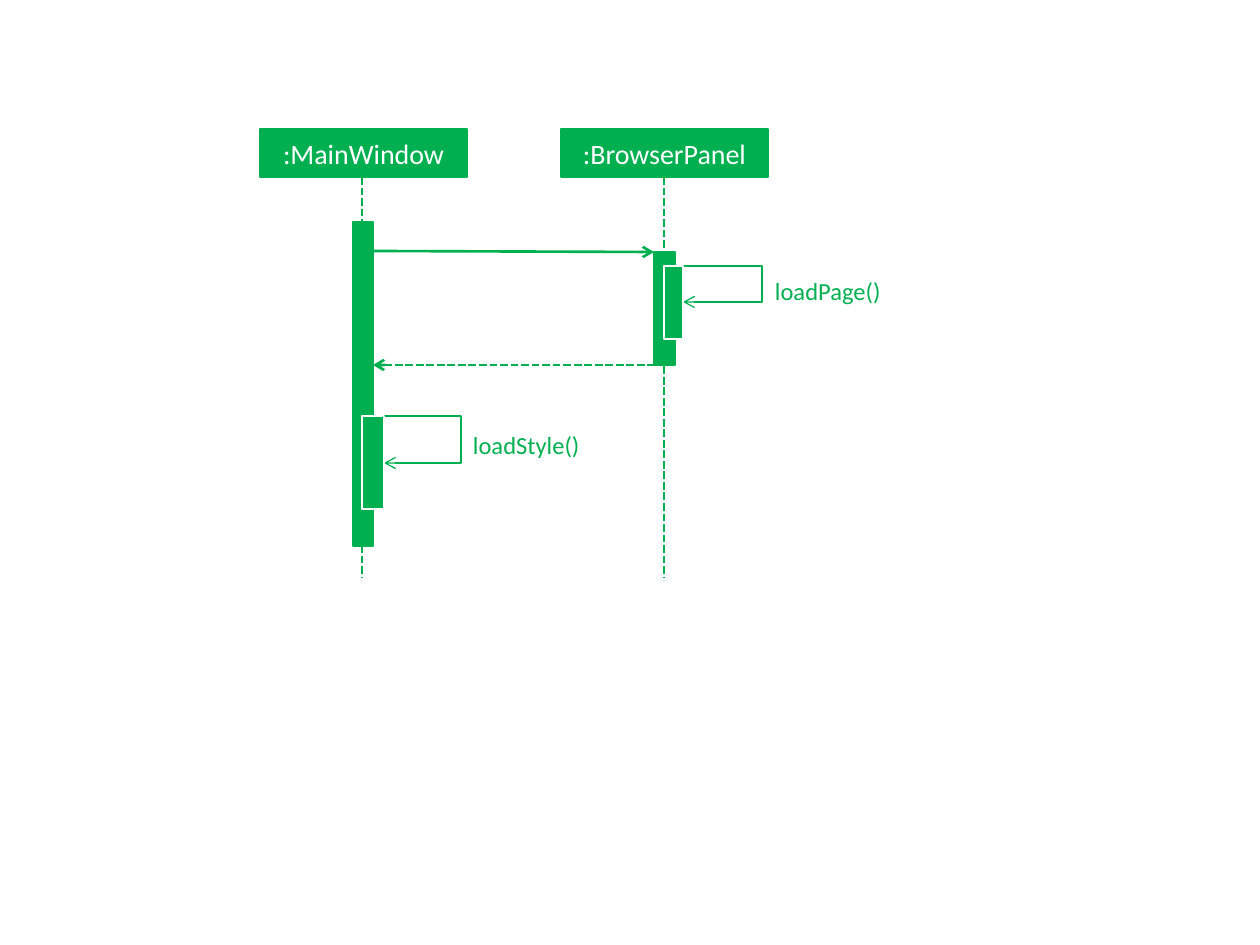
from lxml import etree
from pptx import Presentation
from pptx.dml.color import RGBColor
from pptx.enum.dml import MSO_LINE
from pptx.enum.shapes import MSO_CONNECTOR, MSO_SHAPE
from pptx.enum.text import MSO_ANCHOR, PP_ALIGN
from pptx.oxml.ns import qn
from pptx.util import Emu, Pt

SCALE = 914400 / 126
GREEN, WHITE = "00B050", "FFFFFF"


def px(*values):
    """Turn pixel lengths into EMU."""
    return [Emu(round(v * SCALE)) for v in values]


def paint(sp, line, width, fill=None, dashed=False, arrow=None):
    """Set line and fill; arrow is headEnd or tailEnd."""
    sp.line.color.rgb = RGBColor.from_string(line)
    sp.line.width = Pt(width)
    if dashed:
        sp.line.dash_style = MSO_LINE.SQUARE_DOT
    if arrow:
        etree.SubElement(sp.line._get_or_add_ln(), qn("a:" + arrow), type="arrow")
    if fill:
        sp.fill.solid()
        sp.fill.fore_color.rgb = RGBColor.from_string(fill)
    if hasattr(sp, "shadow"):
        sp.shadow.inherit = False
    else:
        etree.SubElement(sp._element.spPr, qn("a:effectLst"))


prs = Presentation()
prs.slide_width, prs.slide_height = px(1260, 945)
s = prs.slides.add_slide(prs.slide_layouts[6])
shapes = s.shapes

# name, header left, lifeline x, activation box, nested box, loop (right, bottom), call, label place
participants = [
    (":MainWindow", 260, 362, (353, 222, 20, 324), (362, 416, 22, 93),
     (461, 463), "loadStyle()", (473, 430, 136, 19)),
    (":BrowserPanel", 561, 664, (654, 252, 21, 113), (664, 266, 19, 73),
     (762, 302), "loadPage()", (775, 276, 126, 18)),
]

for name, left, axis, active, nested, (right, bottom), call, label in participants:
    header = shapes.add_shape(MSO_SHAPE.RECTANGLE, *px(left, 129, 207, 48))
    paint(header, GREEN, 1.5, GREEN)

    lifeline = shapes.add_connector(MSO_CONNECTOR.STRAIGHT, *px(axis, 177, axis, 577))
    paint(lifeline, GREEN, 1.5, dashed=True)

    bar = shapes.add_shape(MSO_SHAPE.RECTANGLE, *px(*active))
    paint(bar, GREEN, 0.75, GREEN)

    start, top = nested[0] + nested[2], nested[1]
    builder = shapes.build_freeform(start, top, scale=SCALE)
    builder.add_line_segments([(right, top), (right, bottom), (start, bottom)], close=False)
    loop = builder.convert_to_shape()
    loop.fill.background()
    paint(loop, GREEN, 0.75, arrow="tailEnd")

    inner = shapes.add_shape(MSO_SHAPE.RECTANGLE, *px(*nested))
    paint(inner, WHITE, 0.75, GREEN)

    caption = shapes.add_textbox(*px(*label))
    tf = caption.text_frame
    tf.margin_left = tf.margin_right = tf.margin_top = tf.margin_bottom = 0
    tf.word_wrap = True
    header.text_frame.vertical_anchor = MSO_ANCHOR.MIDDLE
    header.text_frame.paragraphs[0].alignment = PP_ALIGN.CENTER

    for sp, text, size, color in [(header, name, 16, WHITE), (caption, call, 14, GREEN)]:
        r = sp.text_frame.paragraphs[0].add_run()
        r.text = text
        r.font.name, r.font.size = "Calibri", Pt(size)
        r.font.color.rgb = RGBColor.from_string(color)

messages = [
    ((368, 251, 654, 252), False, "tailEnd"),
    ((373, 365, 664, 365), True, "headEnd"),
]
for ends, dashed, arrow in messages:
    message = shapes.add_connector(MSO_CONNECTOR.STRAIGHT, *px(*ends))
    paint(message, GREEN, 1.5, dashed=dashed, arrow=arrow)

prs.save("out.pptx")
